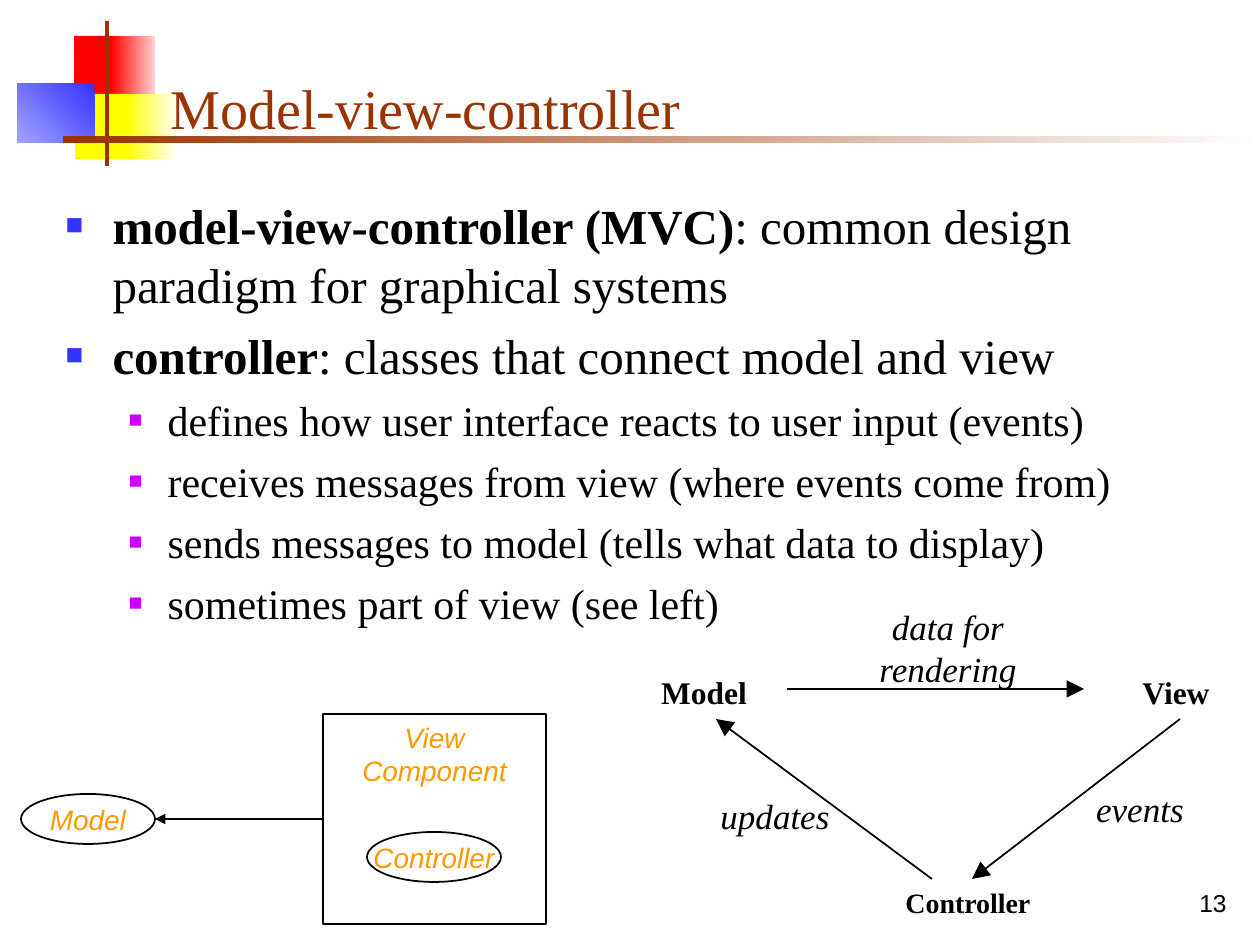
from lxml import etree
from pptx import Presentation, util as u
from pptx.dml.color import RGBColor
from pptx.enum import shapes, text
from pptx.oxml import ns

PX_PER_INCH = 126
SERIF, SANS = "Times New Roman", "Arial"
BLACK = RGBColor(0x00, 0x00, 0x00)
WHITE = RGBColor(0xFF, 0xFF, 0xFF)
BROWN = RGBColor(0x99, 0x33, 0x00)
ORANGE = RGBColor(0xFF, 0x99, 0x00)
RED = RGBColor(0xFF, 0x00, 0x00)
PALE_RED = RGBColor(0xFF, 0xD1, 0xD1)
YELLOW = RGBColor(0xFF, 0xFF, 0x00)
PALE_YELLOW = RGBColor(0xFF, 0xFF, 0xF0)
BLUE = RGBColor(0x33, 0x33, 0xFF)
PALE_BLUE = RGBColor(0xA2, 0xA2, 0xFF)
PURPLE = RGBColor(0xCC, 0x00, 0xFF)

RECT, OVAL = shapes.MSO_SHAPE.RECTANGLE, shapes.MSO_SHAPE.OVAL
TOP, MIDDLE, BOTTOM = (text.MSO_ANCHOR.TOP, text.MSO_ANCHOR.MIDDLE,
                       text.MSO_ANCHOR.BOTTOM)
LEFT, CENTER, RIGHT = text.PP_ALIGN.LEFT, text.PP_ALIGN.CENTER, text.PP_ALIGN.RIGHT


def px(length):
    """Turn px into EMU."""
    return u.Emu(round(length * 914400 / PX_PER_INCH))


def within(box, left, top, width, height):
    """Return EMU bounds of a part placed relative to a px box."""
    return [px(v) for v in (box[0] + left, box[1] + top, width, height)]


def place(placeholder, box):
    """Move a placeholder to a px box."""
    (placeholder.left, placeholder.top,
     placeholder.width, placeholder.height) = within(box, 0, 0, *box[2:])


def add_run(paragraph, words, size, face=SERIF, color=BLACK, bold=False, italic=False):
    """Add one formatted run."""
    run = paragraph.add_run()
    run.text = words
    font = run.font
    font.size, font.name, font.bold, font.italic = u.Pt(size), face, bold, italic
    font.color.rgb = color


def write(shape, lines, align=CENTER, anchor=TOP, wrap=True, **style):
    """Write lines of one style into a shape."""
    frame = shape.text_frame
    frame.word_wrap, frame.vertical_anchor = wrap, anchor
    for index, line in enumerate(lines):
        paragraph = frame.add_paragraph() if index else frame.paragraphs[0]
        paragraph.alignment = align
        add_run(paragraph, line, **style)


def add_outline(slide, kind, bounds, color):
    """Add an unfilled shape with a thin outline."""
    shape = slide.shapes.add_shape(kind, *bounds)
    shape.shadow.inherit = False
    shape.fill.background()
    shape.line.color.rgb, shape.line.width = color, u.Pt(1)
    return shape


def add_arrow(slide, box, start, end, head="med"):
    """Add a black arrow between two points relative to a box."""
    points = [px(box[i] + point[i]) for point in (start, end) for i in (0, 1)]
    arrow = slide.shapes.add_connector(shapes.MSO_CONNECTOR.STRAIGHT, *points)
    arrow.line.color.rgb, arrow.line.width = BLACK, u.Pt(1)
    line = arrow.line._get_or_add_ln()
    etree.SubElement(line, ns.qn("a:tailEnd"), type="triangle", w=head, len=head)
    etree.SubElement(arrow._element.spPr, ns.qn("a:effectLst"))
    return arrow


def add_ornament(slide, box):
    """Draw the coloured blocks and the crossing rules."""
    blocks = [
        ((57, 15, 44, 65), [RED], 0),
        ((94, 15, 44, 65), [PALE_RED, RED], 180),
        ((58, 73, 57, 65), [YELLOW], 0),
        ((109, 73, 50, 65), [PALE_YELLOW, YELLOW], 180),
        ((0.5, 62.5, 77, 59), [BLUE, PALE_BLUE], 225),
        ((88, 0, 4, 145), [BROWN], 0),
        ((46, 115, 1197, 7), [WHITE, BROWN], 180),
    ]
    for bounds, colors, angle in blocks:
        block = slide.shapes.add_shape(RECT, *within(box, *bounds))
        block.shadow.inherit = False
        block.line.fill.background()
        if len(colors) == 1:
            block.fill.solid()
            block.fill.fore_color.rgb = colors[0]
            continue
        block.fill.gradient()
        block.fill.gradient_angle = angle
        for stop, color in zip(block.fill.gradient_stops, colors):
            stop.color.rgb = color


def fill_title(title, box):
    """Place and write the title."""
    place(title, box)
    title.text_frame.auto_size = text.MSO_AUTO_SIZE.NONE
    write(title, ["Model-view-controller"], LEFT, BOTTOM, size=32, color=BROWN)


def set_bullet(paragraph, margin, hang, color, percent):
    """Give a paragraph a coloured square bullet with a hanging indent."""
    props = paragraph._p.get_or_add_pPr()
    props.set("marL", str(px(margin)))
    props.set("indent", str(-px(hang)))
    tint = etree.SubElement(props, ns.qn("a:buClr"))
    etree.SubElement(tint, ns.qn("a:srgbClr"), val=str(color))
    etree.SubElement(props, ns.qn("a:buSzPct"), val=str(percent * 1000))
    etree.SubElement(props, ns.qn("a:buFont"), typeface=SANS)
    etree.SubElement(props, ns.qn("a:buChar"), char="■")


def fill_points(body, box):
    """Place and write the two-level list."""
    place(body, box)
    frame = body.text_frame
    frame.auto_size = text.MSO_AUTO_SIZE.NONE
    points = [
        (0, "model-view-controller (MVC)", ": common design paradigm for graphical systems"),
        (0, "controller", ": classes that connect model and view"),
        (1, "", "defines how user interface reacts to user input (events)"),
        (1, "", "receives messages from view (where events come from)"),
        (1, "", "sends messages to model (tells what data to display)"),
        (1, "", "sometimes part of view (see left)"),
    ]
    levels = [(28, 7, (47, 47, BLUE, 60)), (24, 6, (102, 39, PURPLE, 55))]
    for index, (level, term, words) in enumerate(points):
        size, before, bullet = levels[level]
        paragraph = frame.add_paragraph() if index else frame.paragraphs[0]
        paragraph.level = level
        paragraph.space_before = u.Pt(before if index else 0)
        set_bullet(paragraph, *bullet)
        if term:
            add_run(paragraph, term, size, bold=True)
        add_run(paragraph, words, size)


def add_cycle(slide, box):
    """Draw the model, view and controller cycle."""
    roles = [("Model", 0, 68, 50, 18), ("Controller", 264, 280, 47, 16),
             ("View", 472, 68, 50, 18)]
    for role, left, top, height, size in roles:
        node = add_outline(slide, RECT, within(box, left, top, 168, height), WHITE)
        write(node, [role], size=size, bold=True)
    for start, end in [((167, 90), (464, 90)), ((560, 120), (352, 280)),
                       ((312, 280), (96, 120))]:
        add_arrow(slide, box, start, end, "lg")
    messages = [("data for rendering", 240, 0, 176, 97), ("events", 432, 182, 176, 55),
                ("updates", 63, 189, 184, 55)]
    for message, *bounds in messages:
        label = slide.shapes.add_textbox(*within(box, *bounds))
        write(label, [message], size=20, italic=True)


def add_component(slide, box):
    """Draw the view component holding a controller and pointing at the model."""
    style = dict(wrap=False, size=16, face=SANS, color=ORANGE, italic=True)
    model = add_outline(slide, OVAL, within(box, 0, 80, 134, 50), BLACK)
    write(model, ["Model"], anchor=MIDDLE, **style)
    view = add_outline(slide, RECT, within(box, 302, 0, 223, 210), BLACK)
    write(view, ["View", "Component"], **style)
    controller = add_outline(slide, OVAL, within(box, 346, 118, 134, 50), BLACK)
    write(controller, ["Controller"], anchor=MIDDLE, **style)
    add_arrow(slide, box, (302, 105), (134, 105)).begin_connect(view, 1)


def add_page_number(slide, box):
    """Write the page number."""
    number = slide.shapes.add_textbox(*within(box, 0, 0, *box[2:]))
    write(number, ["13"], RIGHT, BOTTOM, size=14, face=SANS)


def main():
    """Build and save the slide."""
    deck = Presentation()
    deck.slide_width, deck.slide_height = px(1260), px(945)
    slide = deck.slides.add_slide(deck.slide_layouts[1])
    title, body = slide.placeholders
    add_ornament(slide, (17, 21, 1243, 145))
    for placeholder in (title, body):
        slide.shapes._spTree.append(placeholder._element)
    fill_title(title, (158, 31, 1073, 116))
    fill_points(body, (53, 189, 1182, 725))
    add_cycle(slide, (620, 599, 640, 327))
    add_component(slide, (21, 714, 525, 210))
    add_page_number(slide, (977, 861, 262, 63))
    deck.save("out.pptx")


if __name__ == "__main__":
    main()
